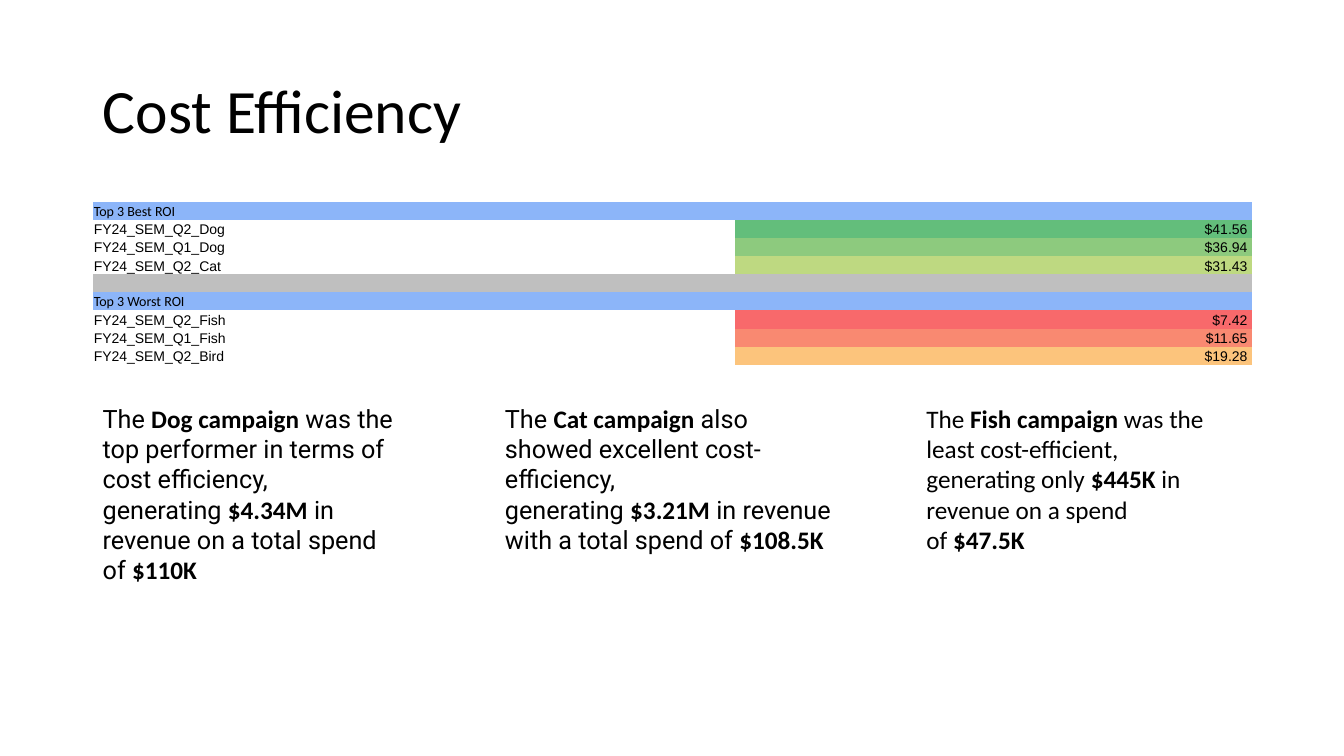
from lxml import etree
from pptx import Presentation
from pptx import util as u
from pptx.dml.color import RGBColor
from pptx.enum import text
from pptx.oxml.ns import qn

PX = u.Inches(1) // 100
NBSP = chr(160)
NO_STYLE = "{2D5ABB26-0587-4C30-8999-92F81FD0307C}"

BLACK = RGBColor(0x00, 0x00, 0x00)
BLUE = RGBColor(0x8C, 0xB5, 0xF9)
GREY = RGBColor(0xBF, 0xBF, 0xBF)
GREEN = RGBColor(0x63, 0xBE, 0x7B)
LIGHT_GREEN = RGBColor(0x8D, 0xCA, 0x7E)
LIME = RGBColor(0xBE, 0xD9, 0x81)
RED = RGBColor(0xF8, 0x69, 0x6B)
CORAL = RGBColor(0xF9, 0x89, 0x71)
ORANGE = RGBColor(0xFC, 0xC4, 0x7C)

ROI_ROWS = [
    ("Top 3 Best ROI", "", BLUE),
    ("FY24_SEM_Q2_Dog", "$41.56", GREEN),
    ("FY24_SEM_Q1_Dog", "$36.94", LIGHT_GREEN),
    ("FY24_SEM_Q2_Cat", "$31.43", LIME),
    ("", "", GREY),
    ("Top 3 Worst ROI", "", BLUE),
    ("FY24_SEM_Q2_Fish", "$7.42", RED),
    ("FY24_SEM_Q1_Fish", "$11.65", CORAL),
    ("FY24_SEM_Q2_Bird", "$19.28", ORANGE),
]

FINDINGS = [
    ((92, 395, 333, 162), "Roboto",
     ["The", "Dog campaign",
      "was the top performer in terms of cost efficiency, generating",
      "$4.34M", "in revenue on a total spend of", "$110K"]),
    ((491, 395, 352, 162), "Roboto",
     ["The", "Cat campaign",
      "also showed excellent cost-efficiency, generating",
      "$3.21M", "in revenue with a total spend of", "$108.5K"]),
    ((909, 395, 300, 162), "Calibri",
     ["The", "Fish campaign",
      "was the least cost-efficient, generating only",
      "$445K", "in revenue on a spend of", "$47.5K"]),
]


def emu(*lengths):
    return [n * PX for n in lengths]


def add_run(p, words, size, font, bold=False):
    r = p.add_run()
    r.text = words
    r.font.size = u.Pt(size)
    r.font.name = font
    r.font.bold = bold
    r.font.color.rgb = BLACK


def add_title(s, box, words):
    sp = s.shapes.title
    sp.left, sp.top, sp.width, sp.height = emu(*box)
    tf = sp.text_frame
    tf.word_wrap = True
    tf.auto_size = text.MSO_AUTO_SIZE.NONE
    tf.vertical_anchor = text.MSO_ANCHOR.MIDDLE
    p = tf.paragraphs[0]
    p.alignment = text.PP_ALIGN.LEFT
    p.line_spacing = 0.9
    add_run(p, words, 44, "Calibri")


def fill_cell(cell, words, font, align, color):
    cell.margin_left, cell.margin_top, cell.margin_right = emu(1, 1, 1)
    cell.margin_bottom = 0
    cell.vertical_anchor = text.MSO_ANCHOR.BOTTOM
    if color is None:
        cell.fill.background()
    else:
        cell.fill.solid()
        cell.fill.fore_color.rgb = color
    p = cell.text_frame.paragraphs[0]
    p.alignment = align
    if words:
        add_run(p, words, 10, font)
    else:
        etree.SubElement(p._p, qn("a:endParaRPr"), sz="1000")


def add_roi_table(s, box, rows):
    left, top, width, height = box
    table = s.shapes.add_table(len(rows), 2, *emu(*box)).table
    table._tbl.tblPr.find(qn("a:tableStyleId")).text = NO_STYLE
    table.first_row = table.horz_banding = False
    name_width = 637
    table.columns[0].width, table.columns[1].width = emu(name_width, width - name_width)
    for i, (name, value, color) in enumerate(rows):
        table.rows[i].height = height * PX // len(rows)
        font = "Arial" if value else "Calibri"
        fill_cell(table.cell(i, 0), name, font, text.PP_ALIGN.LEFT,
                  None if value else color)
        fill_cell(table.cell(i, 1), value and value + NBSP, font,
                  text.PP_ALIGN.RIGHT, color)


def add_finding(s, box, font, parts):
    tf = s.shapes.add_textbox(*emu(*box)).text_frame
    tf.word_wrap = True
    tf.auto_size = text.MSO_AUTO_SIZE.SHAPE_TO_FIT_TEXT
    p = tf.paragraphs[0]
    for i, part in enumerate(parts):
        if i % 2:
            add_run(p, part, 18, "Calibri", True)
        else:
            add_run(p, (NBSP if i else "") + part + NBSP, 18, font)


def main():
    prs = Presentation()
    prs.slide_width, prs.slide_height = emu(1333, 750)
    s = prs.slides.add_slide(prs.slide_layouts[5])
    add_title(s, (92, 40, 1150, 145), "Cost Efficiency")
    add_roi_table(s, (92, 200, 1150, 162), ROI_ROWS)
    for box, font, parts in FINDINGS:
        add_finding(s, box, font, parts)
    prs.save("out.pptx")


if __name__ == "__main__":
    main()
